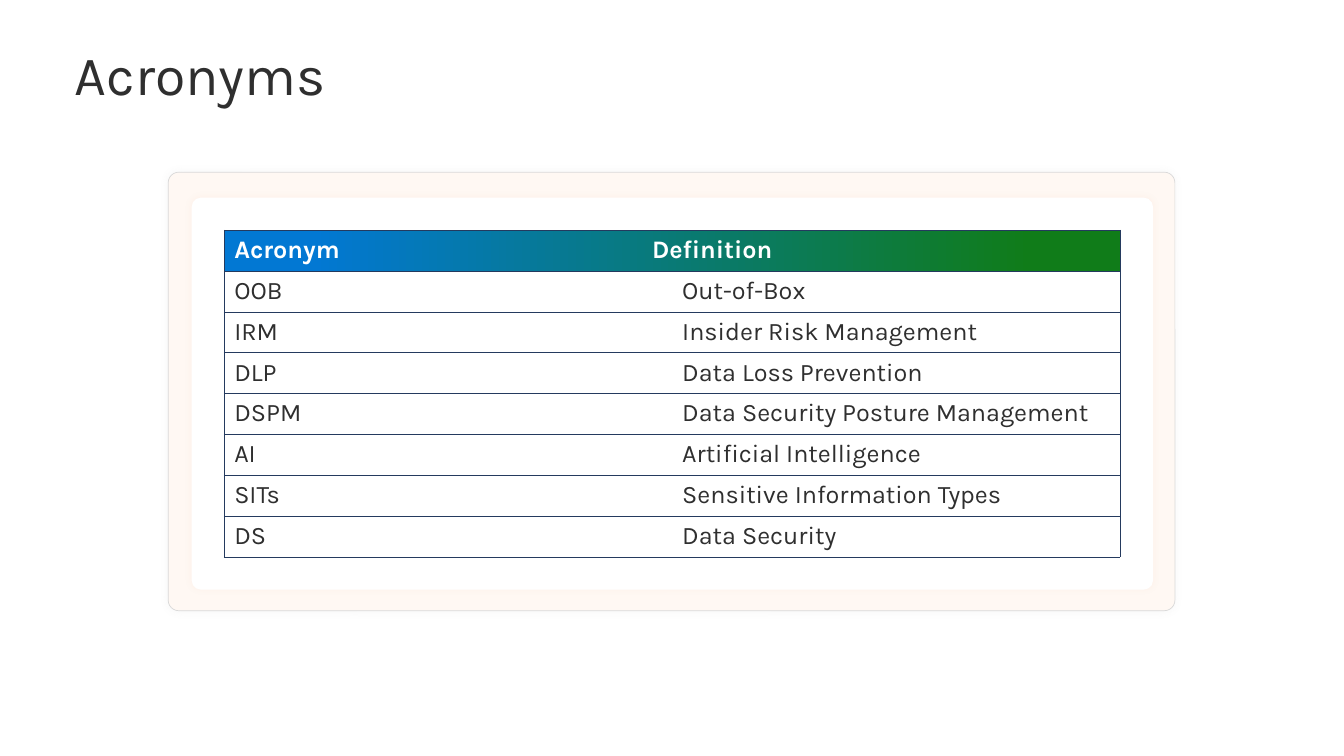
import pptx
import pptx.util
import pptx.dml.color
import pptx.enum.shapes
import pptx.enum.text
import pptx.oxml
from pptx.oxml.ns import nsdecls, qn
from pptx.util import Cm, Pt

FONT = "Karla"
HUES = {
    "text": "2F2F2F", "white": "FFFFFF", "cream": "FFF8F3", "grey": "D9D9D9",
    "shade": "808080", "coral": "FE7F50", "navy": "243A5E",
    "blue": "0278D3", "green": "107C19",
}
HEAD = ("Acronym", "Definition")
ROWS = [
    ("OOB", "Out-of-Box"),
    ("IRM", "Insider Risk Management"),
    ("DLP", "Data Loss Prevention"),
    ("DSPM", "Data Security Posture Management"),
    ("AI", "Artificial Intelligence"),
    ("SITs", "Sensitive Information Types"),
    ("DS", "Data Security"),
]


def hue(name):
    return pptx.dml.color.RGBColor.from_string(HUES[name])


def style(para, size, color, bold=False):
    font = para.font
    font.name, font.size, font.bold = FONT, Pt(size), bold
    font.color.rgb = hue(color)


def add_title(slide, text):
    title = slide.shapes.title
    title.left, title.top = Cm(1.63), Cm(1.27)
    title.width, title.height = Cm(30.61), Cm(1.37)
    frame = title.text_frame
    frame.text = text
    frame.word_wrap = True
    frame.auto_size = pptx.enum.text.MSO_AUTO_SIZE.NONE
    frame.vertical_anchor = pptx.enum.text.MSO_ANCHOR.MIDDLE
    para = frame.paragraphs[0]
    para.alignment = pptx.enum.text.PP_ALIGN.LEFT
    para.line_spacing = 0.9
    style(para, 39.6, "text")


def add_panel(slide, box, fill, glow, line=None):
    kind = pptx.enum.shapes.MSO_SHAPE.ROUNDED_RECTANGLE
    panel = slide.shapes.add_shape(kind, *[Cm(side) for side in box])
    panel.adjustments[0] = 0.024
    panel.fill.solid()
    panel.fill.fore_color.rgb = hue(fill)
    if line:
        panel.line.color.rgb = hue(line)
        panel.line.width = Pt(0.5)
    else:
        panel.line.fill.background()
    # Soft, faint shadow
    panel.shadow.inherit = False
    panel._element.spPr.find(qn("a:effectLst")).append(pptx.oxml.parse_xml(
        f'<a:outerShdw {nsdecls("a")} blurRad="{Pt(5)}" dist="0" dir="0">'
        f'<a:srgbClr val="{HUES[glow]}"><a:alpha val="5000"/></a:srgbClr>'
        '</a:outerShdw>'))


def set_edges(cell, sides):
    props = cell._tc.get_or_add_tcPr()
    for spot, side in enumerate("LRTB"):
        paint = "<a:noFill/>"
        if side in sides:
            paint = (f'<a:solidFill><a:srgbClr val="{HUES["navy"]}"/>'
                     '</a:solidFill>')
        props.insert(spot, pptx.oxml.parse_xml(
            f'<a:ln{side} {nsdecls("a")} w="{Pt(0.5)}">{paint}</a:ln{side}>'))


def fill_head(table):
    cell = table.cell(0, 0)
    cell.merge(table.cell(0, 1))
    cell.text = "\t".join(HEAD)
    para = cell.text_frame.paragraphs[0]
    style(para, 18, "white", True)
    # Tab stop that places the second heading
    para._p.get_or_add_pPr().insert(0, pptx.oxml.parse_xml(
        f'<a:tabLst {nsdecls("a")}><a:tab pos="{Cm(10.53)}" algn="l"/>'
        '</a:tabLst>'))
    cell.fill.gradient()
    cell.fill.gradient_angle = 0
    stops = zip(cell.fill.gradient_stops, (0.1, 0.9), ("blue", "green"))
    for stop, place, color in stops:
        stop.position = place
        stop.color.rgb = hue(color)
    set_edges(cell, "LRTB")
    set_edges(table.cell(0, 1), "RTB")


def add_grid(slide):
    count = len(ROWS) + 1
    table = slide.shapes.add_table(
        count, 2, Cm(5.65), Cm(5.8), Cm(22.58), Cm(1.03 * count)).table
    table.horz_banding = False
    for row in table.rows:
        row.height = Cm(1.03)
    fill_head(table)
    for i, words in enumerate(ROWS, 1):
        for j, word in enumerate(words):
            cell = table.cell(i, j)
            cell.text = word
            style(cell.text_frame.paragraphs[0], 18, "text")
            cell.fill.solid()
            cell.fill.fore_color.rgb = hue("white")
            set_edges(cell, "LTB" if j == 0 else "RTB")


def main():
    deck = pptx.Presentation()
    deck.slide_width, deck.slide_height = Cm(33.87), Cm(19.05)
    slide = deck.slides.add_slide(deck.slide_layouts[5])
    add_title(slide, "Acronyms")
    # Framed card behind the table
    add_panel(slide, (4.24, 4.34, 25.37, 11.05), "cream", "shade", "grey")
    add_panel(slide, (4.83, 4.98, 24.23, 9.88), "white", "coral")
    add_grid(slide)
    deck.save("out.pptx")


if __name__ == "__main__":
    main()
